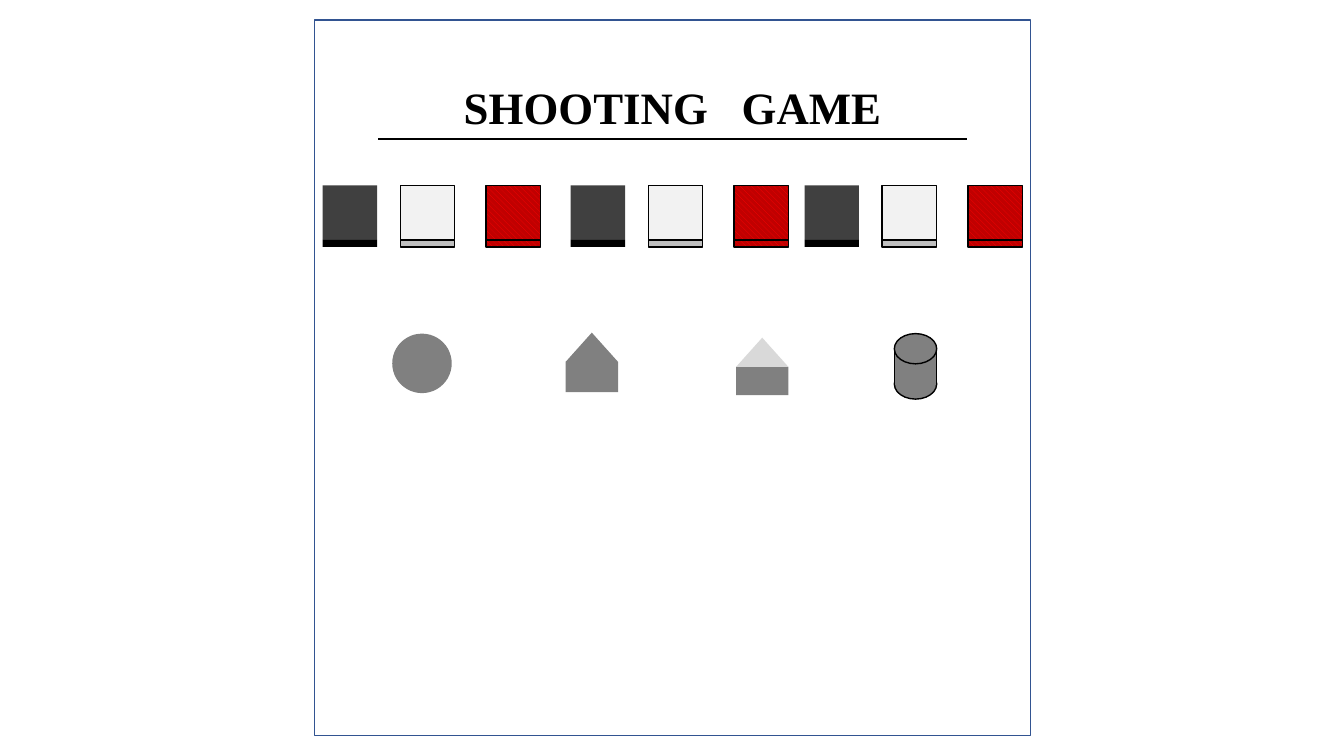
from dataclasses import dataclass
from itertools import product
from typing import Optional, Union

from lxml import etree
from pptx import Presentation
from pptx import util as u
from pptx.dml import color
from pptx.enum import dml, shapes, text
from pptx.oxml import ns

RECT = shapes.MSO_SHAPE.RECTANGLE
OVAL = shapes.MSO_SHAPE.OVAL
TRIANGLE = shapes.MSO_SHAPE.ISOSCELES_TRIANGLE


@dataclass(frozen=True)
class Pattern:
    front: str
    back: str


Fill = Union[str, Pattern, None]


@dataclass(frozen=True)
class Theme:
    font: str = "Times New Roman"
    title_size: float = 32
    word_gap: float = 16
    thin: float = 1
    rule: float = 1.5
    ink: str = "000000"
    border: str = "325491"
    charcoal: str = "404040"
    pale: str = "F2F2F2"
    silver: str = "BFBFBF"
    gray: str = "808080"
    light: str = "D9D9D9"
    red: Pattern = Pattern("FF0000", "C00000")


@dataclass(frozen=True)
class Part:
    kind: shapes.MSO_SHAPE
    left: float
    top: float
    width: float
    height: float
    fill: Fill = None
    line: Optional[str] = None


@dataclass(frozen=True)
class Tile:
    offset: float
    face: Fill
    edge: Fill
    line: Optional[str] = None


@dataclass(frozen=True)
class House:
    left: float
    top: float
    wall_height: float
    roof: str


THEME = Theme()
TILE_TOP, TILE_SIZE, TILE_EDGE = 1.84, 0.54, 0.07
TILE_SETS = (3.2, 5.66, 7.98)
TILES = (
    Tile(0, THEME.charcoal, THEME.ink),
    Tile(0.77, THEME.pale, THEME.silver, THEME.ink),
    Tile(1.62, THEME.red, THEME.red, THEME.ink),
)
HOUSE_WIDTH, ROOF_HEIGHT = 0.52, 0.29
HOUSES = (House(5.61, 3.3, 0.3, THEME.gray), House(7.3, 3.35, 0.28, THEME.light))
CAN_LEFT, CAN_RIGHT, CAN_TOP, CAN_BOTTOM = 8.87, 9.29, 3.46, 3.82
CAN_WIDTH, CAP_HEIGHT = CAN_RIGHT - CAN_LEFT, 0.3


def rgb(value: str) -> color.RGBColor:
    return color.RGBColor.from_string(value)


def paint(box, fill: Fill) -> None:
    if fill is None:
        box.fill.background()
    elif isinstance(fill, Pattern):
        box.fill.patterned()
        box.fill.pattern = dml.MSO_PATTERN.WIDE_DOWNWARD_DIAGONAL
        box.fill.fore_color.rgb = rgb(fill.front)
        box.fill.back_color.rgb = rgb(fill.back)
    else:
        box.fill.solid()
        box.fill.fore_color.rgb = rgb(fill)


def add_part(target, part: Part) -> None:
    area = (u.Inches(n) for n in (part.left, part.top, part.width, part.height))
    box = target.add_shape(part.kind, *area)
    box.shadow.inherit = False
    paint(box, part.fill)
    if part.line is None:
        box.line.fill.background()
    else:
        box.line.color.rgb = rgb(part.line)
        box.line.width = u.Pt(THEME.thin)


def add_line(target, x1: float, y1: float, x2: float, y2: float, width: float) -> None:
    ends = (u.Inches(n) for n in (x1, y1, x2, y2))
    line = target.add_connector(shapes.MSO_CONNECTOR.STRAIGHT, *ends)
    line.line.color.rgb = rgb(THEME.ink)
    line.line.width = u.Pt(width)
    etree.SubElement(line._element.spPr, ns.qn("a:effectLst"))


def add_title(page) -> None:
    box = page.shapes.title
    box.left, box.top = u.Inches(4.48), u.Inches(0.74)
    box.width, box.height = u.Inches(4.38), u.Inches(0.64)
    frame = box.text_frame
    frame.word_wrap = False
    frame.auto_size = text.MSO_AUTO_SIZE.SHAPE_TO_FIT_TEXT
    frame.vertical_anchor = text.MSO_ANCHOR.TOP
    para = frame.paragraphs[0]
    para.alignment = text.PP_ALIGN.CENTER
    for words, gap in (("SHOOTING", 0), (" ", THEME.word_gap), ("GAME", 0)):
        span = para.add_run()
        span.text = words
        span.font.name = THEME.font
        span.font.size = u.Pt(THEME.title_size)
        span.font.bold = True
        span.font.color.rgb = rgb(THEME.ink)
        if gap:
            span._r.get_or_add_rPr().set("spc", str(int(gap * 100)))


def add_tile(page, start: float, tile: Tile) -> None:
    group = page.shapes.add_group_shape().shapes
    left = start + tile.offset
    add_part(group, Part(RECT, left, TILE_TOP, TILE_SIZE, TILE_SIZE, tile.face, tile.line))
    add_part(group, Part(RECT, left, TILE_TOP + TILE_SIZE, TILE_SIZE, TILE_EDGE, tile.edge, tile.line))


def add_house(page, house: House) -> None:
    group = page.shapes.add_group_shape().shapes
    wall_top = house.top + ROOF_HEIGHT
    add_part(group, Part(RECT, house.left, wall_top, HOUSE_WIDTH, house.wall_height, THEME.gray))
    add_part(group, Part(TRIANGLE, house.left, house.top, HOUSE_WIDTH, ROOF_HEIGHT, house.roof))


def add_can(page) -> None:
    group = page.shapes.add_group_shape().shapes
    side = Part(RECT, CAN_LEFT, CAN_TOP, CAN_WIDTH, CAN_BOTTOM - CAN_TOP, THEME.gray)
    base, lid = (
        Part(OVAL, CAN_LEFT, top, CAN_WIDTH, CAP_HEIGHT, THEME.gray, THEME.ink)
        for top in (3.66, 3.31)
    )
    for part in (base, side, lid):
        add_part(group, part)
    for x in (CAN_RIGHT, CAN_LEFT):
        add_line(group, x, CAN_TOP, x, CAN_BOTTOM, THEME.thin)


deck = Presentation()
deck.slide_width, deck.slide_height = u.Inches(13.33), u.Inches(7.5)
page = deck.slides.add_slide(deck.slide_layouts[5])

add_part(page.shapes, Part(RECT, 3.12, 0.2, 7.1, 7.1, line=THEME.border))
add_title(page)
add_line(page.shapes, 3.75, 1.38, 9.59, 1.38, THEME.rule)
for start, tile in product(TILE_SETS, TILES):
    add_tile(page, start, tile)
add_part(page.shapes, Part(OVAL, 3.89, 3.31, 0.59, 0.59, THEME.gray))
for house in HOUSES:
    add_house(page, house)
add_can(page)

deck.save("out.pptx")
